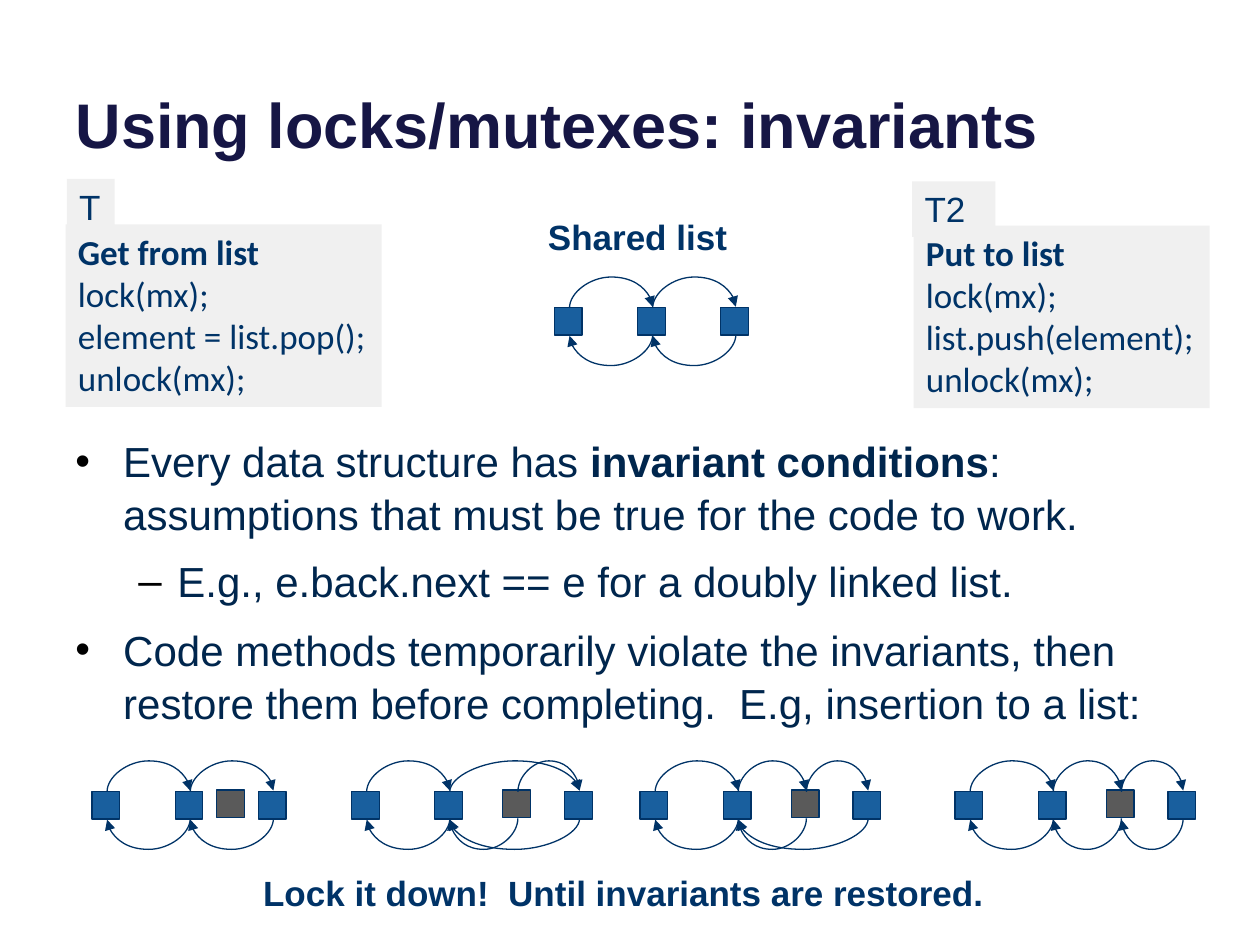
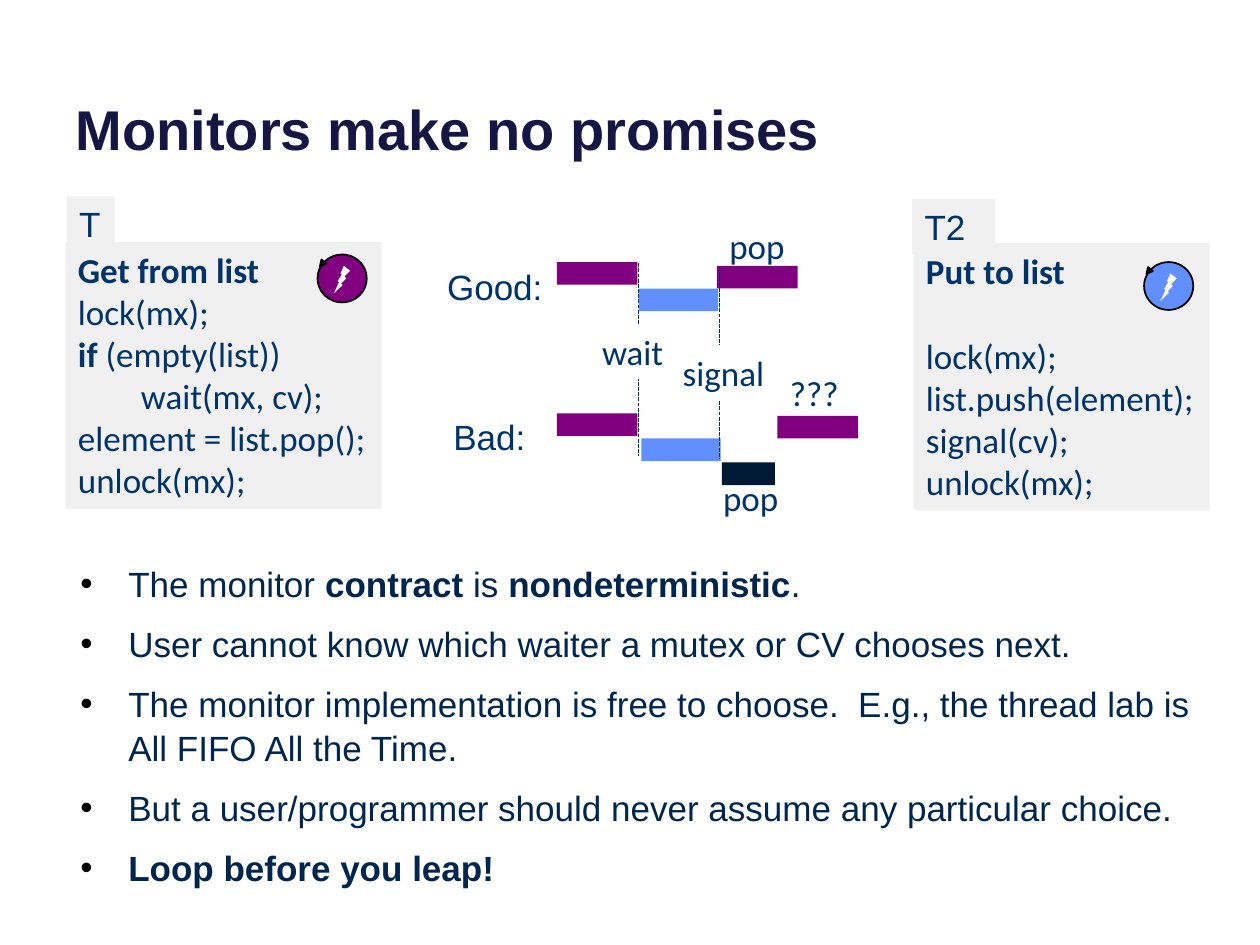
from lxml import etree
from pptx import Presentation
from pptx.dml.color import RGBColor
from pptx.enum.dml import MSO_LINE
from pptx.enum.shapes import MSO_CONNECTOR, MSO_SHAPE
from pptx.enum.text import MSO_ANCHOR, MSO_AUTO_SIZE, PP_ALIGN
from pptx.oxml.ns import qn
from pptx.util import Inches, Pt

NAVY, TITLE_INK, BODY_INK = "003367", "161645", "00264D"
PANEL, NODE, NEW_NODE, WHITE, BLACK = "F0F0F0", "195F9E", "5A5A5A", "FFFFFF", "000000"
GETTER, PUTTER, INTRUDER = "800080", "618FFD", "001934"
NODE_SIZE, ARC_RISE, ARC_SKEW = 0.22, 0.25, 0.01


def add_box(shapes, at, fill, line=None, weight=0.75, kind=MSO_SHAPE.RECTANGLE):
    box = shapes.add_shape(kind, *map(Inches, at))
    box.shadow.inherit = False
    box.fill.solid()
    box.fill.fore_color.rgb = RGBColor.from_string(fill)
    if line:
        box.line.color.rgb = RGBColor.from_string(line)
        box.line.width = Pt(weight)
    else:
        box.line.fill.background()
    return box


def write(shape, lines, font="Arial", size=20, color=NAVY):
    frame = shape.text_frame
    frame.word_wrap = True
    frame.auto_size = MSO_AUTO_SIZE.NONE
    frame.vertical_anchor = MSO_ANCHOR.TOP
    frame.margin_right = 0
    for index, line in enumerate(lines):
        paragraph = frame.paragraphs[0] if index == 0 else frame.add_paragraph()
        paragraph.alignment = PP_ALIGN.LEFT
        for part, text in enumerate(line.split("*")):
            if text:
                run = paragraph.add_run()
                run.text = text
                run.font.name = font
                run.font.size = Pt(size)
                run.font.bold = part % 2 == 1
                run.font.color.rgb = RGBColor.from_string(color)
    return frame


prs = Presentation()
prs.slide_width, prs.slide_height = Inches(10), Inches(7.5)

pages = [
    {
        "title": "Using locks/mutexes: invariants", "title_size": 36,
        "panel_top": 1.78, "panel_height": 1.45,
        "get": ["*Get from list*", "lock(mx);", "element = list.pop();", "unlock(mx);"],
        "put": ["*Put to list*", "lock(mx);", "list.push(element);", "unlock(mx);"],
        "body_at": (0.5, 3.39, 9, 2.71), "body_size": 24,
        "body": [
            (0, "Every data structure has *invariant conditions*: "
                "assumptions that must be true for the code to work."),
            (1, "E.g., e.back.next == e for a doubly linked list."),
            (0, "Code methods temporarily violate the invariants, then restore them "
                "before completing.  E.g, insertion to a list:"),
        ],
    },
    {
        "title": "Monitors make no promises", "title_size": 32,
        "panel_top": 1.92, "panel_height": 2.12,
        "get": ["*Get from list*", "lock(mx);", "*if *(empty(list))", "\twait(mx, cv);",
                "element = list.pop();", "unlock(mx);"],
        "put": ["*Put to list*", "lock(mx);", "list.push(element);", "signal(cv);",
                "unlock(mx);"],
        "body_at": (0.54, 4.4, 9, 2.71), "body_size": 20,
        "body": [
            (0, "The monitor *contract* is *nondeterministic*."),
            (0, "User cannot know which waiter a mutex or CV chooses next."),
            (0, "The monitor implementation is free to choose.  E.g., the thread lab "
                "is All FIFO All the Time."),
            (0, "But a user/programmer should never assume any particular choice."),
            (0, "*Loop before you leap!*"),
        ],
    },
]
bullet_levels = [("•", 0.38, -0.38, 9), ("–", 0.81, -0.31, 8)]
slides, put_frames = [], []

for page in pages:
    slide = prs.slides.add_slide(prs.slide_layouts[5])
    slides.append(slide)
    title = slide.shapes.title
    title.left, title.top, title.width, title.height = map(Inches, (0.5, -0.37, 9, 1.7))
    write(title, [f"*{page['title']}*"], size=page["title_size"], color=TITLE_INK)
    title.text_frame.vertical_anchor = MSO_ANCHOR.BOTTOM

    body = slide.shapes.add_textbox(*map(Inches, page["body_at"]))
    points = write(body, [text for _, text in page["body"]],
                   size=page["body_size"], color=BODY_INK).paragraphs
    for index, (point, (level, _)) in enumerate(zip(points, page["body"])):
        mark, margin, hanging, gap = bullet_levels[level]
        point.level = level
        point.line_spacing = 1.05
        point.space_before = Pt(gap if index else 0)
        props = point._p.get_or_add_pPr()
        props.set("marL", str(Inches(margin)))
        props.set("indent", str(Inches(hanging)))
        bullet_color = etree.SubElement(props, qn("a:buClr"))
        etree.SubElement(bullet_color, qn("a:srgbClr"), val=BLACK)
        etree.SubElement(props, qn("a:buFont"), typeface="Arial")
        etree.SubElement(props, qn("a:buChar"), char=mark)

    top, height = page["panel_top"], page["panel_height"]
    get_panel = add_box(slide.shapes, (0.52, top, 2.51, height), PANEL)
    for line in write(get_panel, page["get"], "Calibri").paragraphs:
        if line.text.startswith("\t"):
            stops = etree.SubElement(line._p.get_or_add_pPr(), qn("a:tabLst"))
            etree.SubElement(stops, qn("a:tab"), pos=str(Inches(0.5)), algn="l")
    put_panel = add_box(slide.shapes, (7.25, top + 0.01, 2.35, height), PANEL)
    put_frames.append(write(put_panel, page["put"], "Calibri"))
    write(add_box(slide.shapes, (0.53, top - 0.36, 0.38, 0.44), PANEL), ["T"])
    write(add_box(slide.shapes, (7.24, top - 0.34, 0.66, 0.44), PANEL), ["T2"])

invariants, monitors = slides
put_frames[1].paragraphs[1].space_before = Pt(24.4)

A, B, NEW, C = 0, 0.66, 1.2, 1.69
EVEN_C = 1.32
linked_lists = [
    (4.4, 2.44, (A, B, EVEN_C), None, [(A, B), (B, EVEN_C)], [(EVEN_C, B), (B, A)]),
    (0.73, 6.28, (A, B, EVEN_C), 0.99, [(A, B), (B, EVEN_C)], [(EVEN_C, B), (B, A)]),
    (2.79, 6.28, (A, B, C), NEW, [(A, B), (B, C), (NEW, C)], [(C, B), (B, A), (NEW, B)]),
    (5.08, 6.28, (A, B, C), NEW, [(A, B), (B, NEW), (NEW, C)], [(C, B), (B, A), (NEW, B)]),
    (7.58, 6.28, (A, B, C), NEW, [(A, B), (B, NEW), (NEW, C)], [(C, NEW), (NEW, B), (B, A)]),
]
for left, top, nodes, new_node, nexts, backs in linked_lists:
    for node in nodes:
        add_box(invariants.shapes, (left + node, top, NODE_SIZE, NODE_SIZE), NODE, NAVY)
    if new_node is not None:
        add_box(invariants.shapes, (left + new_node, top - 0.01, NODE_SIZE, NODE_SIZE),
                NEW_NODE, NAVY)
    for start, end in nexts + backs:
        middle_x = left + (start + end) / 2 + 0.12
        middle_y = top if start < end else top + NODE_SIZE
        reach = (end - start) / 2
        skew = ARC_SKEW / 2 if start < end else -ARC_SKEW / 2
        arc = invariants.shapes.add_connector(
            MSO_CONNECTOR.CURVE, Inches(middle_x + skew), Inches(middle_y + reach),
            Inches(middle_x - skew), Inches(middle_y - reach))
        arc.line.color.rgb = RGBColor.from_string(NAVY)
        arc.line.width = Pt(0.75)
        props = arc._element.spPr
        props.find(qn("a:xfrm")).set("rot", "5400000")
        guides = props.find(qn("a:prstGeom")).find(qn("a:avLst"))
        bend = round(ARC_RISE / ARC_SKEW * 100000)
        etree.SubElement(guides, qn("a:gd"), name="adj1", fmla=f"val {bend}")
        etree.SubElement(props.find(qn("a:ln")), qn("a:tailEnd"), type="triangle")
        etree.SubElement(props, qn("a:effectLst"))

for caption, at in [
    ("*Lock it down!  Until invariants are restored.*", (1.99, 6.87, 6.03, 0.44)),
    ("*Shared list*", (4.25, 1.66, 1.72, 0.44)),
]:
    write(invariants.shapes.add_textbox(*map(Inches, at)), [caption])

for left, top, width, thread in [
    (5.69, 2.11, 0.64, GETTER), (5.73, 3.67, 0.42, INTRUDER), (4.42, 2.08, 0.64, GETTER),
    (5.07, 2.29, 0.63, PUTTER), (6.17, 3.3, 0.64, GETTER), (4.42, 3.28, 0.64, GETTER),
    (5.09, 3.48, 0.63, PUTTER),
]:
    add_box(monitors.shapes, (left, top, width, 0.18), thread)

for left, top, thread in [(9.08, 2.08, PUTTER), (2.52, 2.02, GETTER)]:
    icon = monitors.shapes.add_group_shape().shapes
    add_box(icon, (left, top, 0.39, 0.38), thread, BLACK, 1, MSO_SHAPE.OVAL)
    bolt = add_box(icon, (left + 0.13, top + 0.09, 0.13, 0.22), WHITE,
                   kind=MSO_SHAPE.LIGHTNING_BOLT)
    bolt._element.spPr.find(qn("a:xfrm")).set("flipH", "1")
    arrow_tip = add_box(icon, (left + 0.01, top + 0.05, 0.05, 0.05), BLACK, BLACK, 1,
                        MSO_SHAPE.ISOSCELES_TRIANGLE)
    arrow_tip.rotation = 219

for event, x, start, end, at in [
    ("wait", 5.07, 2.09, 3.62, (4.68, 2.57, 0.8, 0.44)),
    ("signal", 5.71, 2.12, 3.64, (5.32, 2.74, 0.87, 0.44)),
]:
    moment = monitors.shapes.add_connector(
        MSO_CONNECTOR.STRAIGHT, Inches(x), Inches(start), Inches(x), Inches(end))
    moment.line.color.rgb = RGBColor.from_string(NAVY)
    moment.line.width = Pt(0.75)
    moment.line.dash_style = MSO_LINE.SQUARE_DOT
    etree.SubElement(moment._element.spPr, qn("a:effectLst"))
    write(add_box(monitors.shapes, at, WHITE), [event], "Calibri")

for label, left, top, width, font in [
    ("Good:", 3.45, 2.06, 0.97, "Arial"), ("Bad:", 3.5, 3.25, 0.97, "Arial"),
    ("pop", 5.69, 1.73, 0.75, "Calibri"), ("pop", 5.64, 3.73, 0.75, "Calibri"),
    ("???", 6.17, 2.9, 0.75, "Calibri"),
]:
    write(monitors.shapes.add_textbox(*map(Inches, (left, top, width, 0.44))), [label], font)

prs.save("out.pptx")
